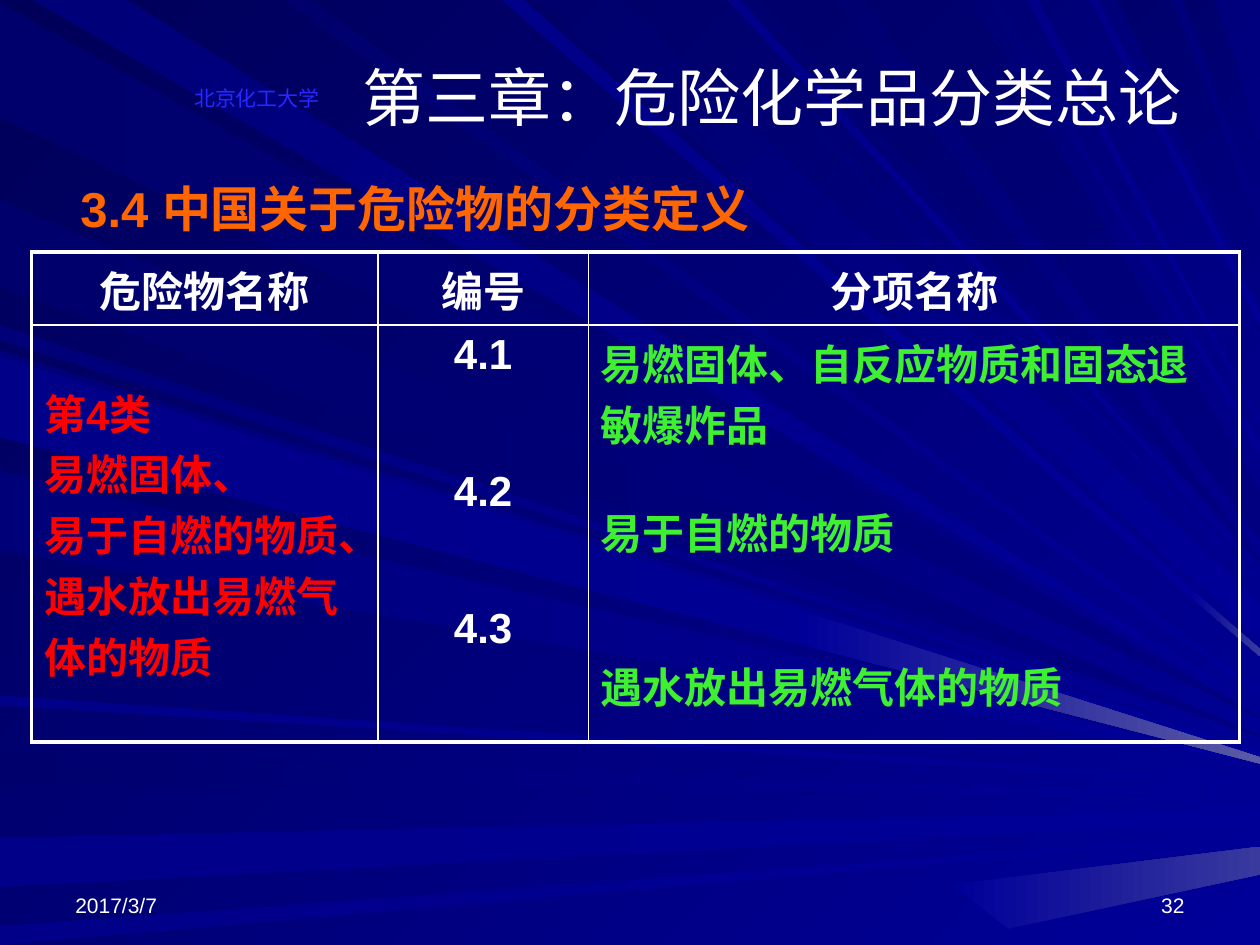
from lxml import etree
from pptx import Presentation
from pptx.dml.color import RGBColor
from pptx.enum.text import MSO_ANCHOR as Anchor, PP_ALIGN as Align
from pptx.oxml.ns import qn
from pptx.util import Pt

PX = 9144
WIDTH, HEIGHT = 1000, 750
WHITE = RGBColor(0xFF, 0xFF, 0xFF)
RED = RGBColor(0xFF, 0x00, 0x00)
GREEN = RGBColor(0x3E, 0xF0, 0x30)
ORANGE = RGBColor(0xFF, 0x66, 0x00)
VIOLET = RGBColor(0x29, 0x29, 0xFF)
MIDNIGHT = RGBColor(0x00, 0x00, 0x58)
DARK = RGBColor(0x00, 0x00, 0x6D)
MEDIUM = RGBColor(0x00, 0x00, 0x79)
PALE = RGBColor(0x00, 0x00, 0x88)
NAVY = RGBColor(0x00, 0x00, 0x80)
ROYAL = RGBColor(0x00, 0x00, 0x99)
HAZE = RGBColor(0x39, 0x39, 0x9E)
GLOW = RGBColor(0x5A, 0x5A, 0xA6)

LEFT_RAYS = [
    (DARK, NAVY, 2, 93, 569),
    (DARK, ROYAL, 596, 623, 631),
    (PALE, ROYAL, 665, 704, 643, 8),
    (PALE, ROYAL, 735, 750, 662),
    (MEDIUM, ROYAL, 258, 270, 589),
    (DARK, NAVY, 159, 228, 584),
    (MEDIUM, ROYAL, 278, 342, 596, 6),
    (MEDIUM, ROYAL, 374, 437, 605),
    (PALE, ROYAL, 552, 560, 621),
    (PALE, ROYAL, 283, 347, 601, 5),
]
TOP_RAYS = [
    (MEDIUM, ROYAL, 26, 101, 562),
    (PALE, ROYAL, 398, 416, 515, 6),
    (DARK, ROYAL, 426, 492, 479, 28),
    (DARK, ROYAL, 540, 552, 463),
    (DARK, NAVY, 606, 661, 445),
    (DARK, NAVY, 887, 930, 183, 54),
    (DARK, NAVY, 939, 964, 114, 53),
    (DARK, ROYAL, 225, 247, 547, 5),
    (PALE, ROYAL, 577, 588, 453),
    (DARK, NAVY, 686, 770, 390, 38),
    (MEDIUM, ROYAL, 785, 792, 354, 6),
    (PALE, ROYAL, 815, 824, 335),
    (PALE, ROYAL, 865, 872, 249, 9),
]
GLOWS = [
    (HAZE, [(1000, 694), (1000, 672), (756, 702), (800, 737)]),
    (HAZE, [(1000, 521), (1000, 515), (947, 469), (944, 473)]),
    (GLOW, [(1000, 606), (1000, 601), (637, 485), (633, 511)]),
]

HEADER = dict(align=Align.CENTER)
CELLS = [
    [(["危险物名称"], HEADER), (["编号"], HEADER), (["分项名称"], HEADER)],
    [
        (["第4类", "易燃固体、", "易于自燃的物质、遇水放出易燃气体的物质"], dict(color=RED)),
        (["4.1", "4.2", "4.3"], dict(align=Align.CENTER, gaps=(0, 51.5, 51.5))),
        (["易燃固体、自反应物质和固态退敏爆炸品", "易于自燃的物质", "遇水放出易燃气体的物质"],
         dict(color=GREEN, gaps=(0, 27, 53.5))),
    ],
]


def write_text(frame, lines, size=12, color=WHITE, bold=False, align=Align.LEFT,
               gaps=(), spacing=None):
    frame.word_wrap = True
    for index, line in enumerate(lines):
        paragraph = frame.paragraphs[0] if index == 0 else frame.add_paragraph()
        paragraph.alignment = align
        paragraph.line_spacing = spacing
        if index and gaps:
            paragraph.space_before = Pt(gaps[index])
        run = paragraph.add_run()
        run.text = line
        run.font.name = "Arial"
        run.font.size = Pt(size)
        run.font.bold = bold
        run.font.color.rgb = color


class SlideBuilder:
    """Holds the pixel scale and the slide, and adds each kind of element."""

    def __init__(self, slide, scale=PX):
        self.slide = slide
        self.scale = scale

    def emu(self, *lengths):
        return [length * self.scale for length in lengths]

    def gradient(self, fill, start, end, angle):
        fill.gradient()
        fill.gradient_angle = -angle % 360
        for stop, color in zip(fill.gradient_stops, (start, end)):
            stop.color.rgb = color

    def beam(self, start, end, angle, points):
        builder = self.slide.shapes.build_freeform(*points[0], scale=self.scale)
        builder.add_line_segments(points[1:], close=True)
        shape = builder.convert_to_shape()
        shape.shadow.inherit = False
        shape.line.fill.background()
        self.gradient(shape.fill, start, end, angle)

    def left_ray(self, start, end, upper, lower, target, thickness=1):
        self.beam(start, end, 0, [(0, lower), (0, upper), (WIDTH, target),
                                  (WIDTH, target + thickness)])

    def top_ray(self, start, end, near, far, target, thickness=1):
        self.beam(start, end, 45, [(near, 0), (far, 0), (WIDTH, target),
                                   (WIDTH, target + thickness)])

    def text(self, text, box, anchor=Anchor.TOP, **style):
        shape = self.slide.shapes.add_textbox(*self.emu(*box))
        shape.text_frame.vertical_anchor = anchor
        write_text(shape.text_frame, [text], **style)

    def border(self, cell, side, points):
        properties = cell._tc.get_or_add_tcPr()
        line = etree.SubElement(properties, qn(f"a:ln{side}"), w=str(Pt(points)))
        fill = etree.SubElement(line, qn("a:solidFill"))
        etree.SubElement(fill, qn("a:srgbClr"), val=str(WHITE))

    def table(self, cells, left, top, widths, heights):
        box = self.emu(left, top, sum(widths), sum(heights))
        table = self.slide.shapes.add_table(len(heights), len(widths), *box).table
        table.first_row = table.horz_banding = False
        for column, width in zip(table.columns, self.emu(*widths)):
            column.width = width
        for row, height in zip(table.rows, self.emu(*heights)):
            row.height = height
        last_row, last_column = len(heights) - 1, len(widths) - 1
        for i, row in enumerate(cells):
            for j, (lines, style) in enumerate(row):
                cell = table.cell(i, j)
                is_category = i > 0 and j == 0
                cell.vertical_anchor = Anchor.MIDDLE if is_category else Anchor.TOP
                write_text(cell.text_frame, lines, size=24, bold=True, **style)
                edges = dict(L=j == 0, R=j == last_column, T=i == 0, B=i == last_row)
                for side, outer in edges.items():
                    self.border(cell, side, 2.25 if outer else 1)
                cell.fill.background()


def main():
    presentation = Presentation()
    presentation.slide_width = WIDTH * PX
    presentation.slide_height = HEIGHT * PX
    slide = presentation.slides.add_slide(presentation.slide_layouts[6])
    builder = SlideBuilder(slide)
    builder.gradient(slide.background.fill, MIDNIGHT, ROYAL, 45)
    for ray in LEFT_RAYS:
        builder.left_ray(*ray)
    for ray in TOP_RAYS:
        builder.top_ray(*ray)
    for color, points in GLOWS:
        builder.beam(ROYAL, color, 0, points)
    builder.text("2017/3/7", (50, 683, 233, 50), anchor=Anchor.BOTTOM)
    builder.text("32", (717, 683, 233, 50), align=Align.RIGHT, anchor=Anchor.BOTTOM)
    builder.table(CELLS, 25, 200, (275, 167, 517), (58, 331))
    builder.text("北京化工大学", (133, 58, 142, 35), color=VIOLET,
                 align=Align.CENTER, anchor=Anchor.BOTTOM)
    builder.text("第三章：危险化学品分类总论", (275, 25, 675, 103), size=36,
                 align=Align.CENTER, anchor=Anchor.MIDDLE)
    builder.text("3.4 中国关于危险物的分类定义", (54, 142, 658, 42), size=28,
                 color=ORANGE, bold=True, spacing=0.9)
    presentation.save("out.pptx")


if __name__ == "__main__":
    main()
